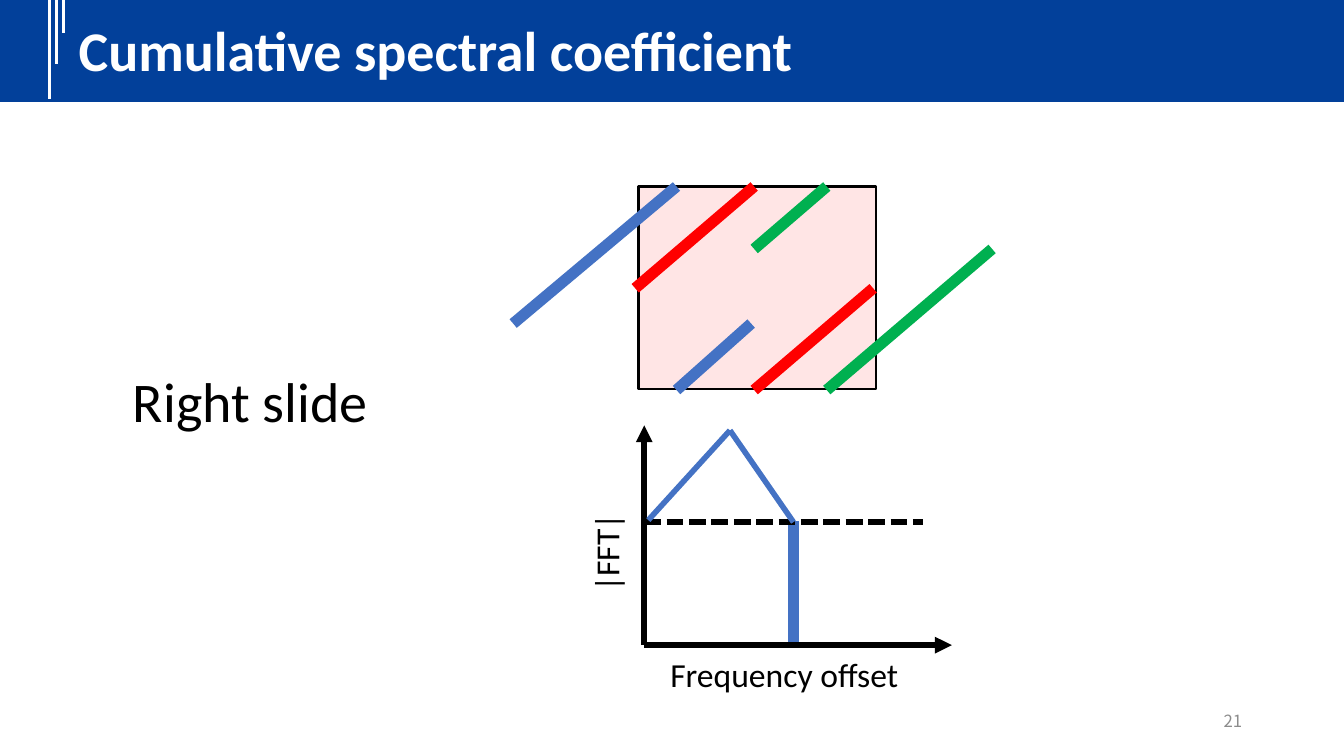
from lxml import etree
from pptx import Presentation
from pptx.dml.color import RGBColor
from pptx.enum.dml import MSO_LINE
from pptx.enum.shapes import MSO_CONNECTOR, MSO_SHAPE
from pptx.enum.text import MSO_ANCHOR, PP_ALIGN
from pptx.oxml.ns import qn
from pptx.util import Pt

PX = 9144
STRAIGHT = MSO_CONNECTOR.STRAIGHT
RECT = MSO_SHAPE.RECTANGLE
SYS_DASH = MSO_LINE.SQUARE_DOT
TOP, MIDDLE = MSO_ANCHOR.TOP, MSO_ANCHOR.MIDDLE
LEFT, RIGHT = PP_ALIGN.LEFT, PP_ALIGN.RIGHT

COLORS = {
    "banner": "02409A",
    "white": "FFFFFF",
    "black": "000000",
    "gray": "8C8C8C",
    "blue": "4472C4",
    "red": "FF0000",
    "green": "00B050",
}


def px(*lengths):
    return [round(n * PX) for n in lengths]


def rgb(name):
    return RGBColor.from_string(COLORS[name])


def add_line(s, start, end, color, width, dash=None, arrow=False):
    line = s.shapes.add_connector(STRAIGHT, *px(*start, *end))
    line.line.color.rgb = rgb(color)
    line.line.width = Pt(width)
    if dash:
        line.line.dash_style = dash
    if arrow:
        etree.SubElement(line.line._get_or_add_ln(), qn("a:tailEnd"), type="triangle")
    etree.SubElement(line.element.spPr, qn("a:effectLst"))
    return line


def add_rect(s, box, fill):
    sp = s.shapes.add_shape(RECT, *px(*box))
    sp.shadow.inherit = False
    sp.fill.solid()
    sp.fill.fore_color.rgb = rgb(fill)
    return sp


def write(sp, text, size, color="black", bold=False, font="Calibri", align=LEFT, anchor=TOP):
    tf = sp.text_frame
    tf.word_wrap = True
    tf.vertical_anchor = anchor
    p = tf.paragraphs[0]
    p.alignment = align
    r = p.add_run()
    r.text = text
    r.font.color.rgb = rgb(color)
    for name, value in {"name": font, "size": Pt(size), "bold": bold}.items():
        setattr(r.font, name, value)


def add_text(s, box, text, size, rotation=0, **style):
    sp = s.shapes.add_textbox(*px(*box))
    sp.rotation = rotation
    write(sp, text, size, **style)


def add_banner(s, box, text):
    x, y, w, h = box
    title = s.shapes.title
    band = add_rect(s, box, "banner")
    band.line.fill.background()
    title.element.addprevious(band.element)
    for i, length in enumerate((98, 64, 33)):
        stripe_x = x + 49 + 7 * i
        add_line(s, (stripe_x, y), (stripe_x, y + length), "white", 2.25)
    title.left, title.top, title.width, title.height = px(x + 68, y + 10, w - 117, h - 24)
    write(title, text, 40, color="white", bold=True)


def add_chirp_window(s, box):
    x, y, w, h = box
    window = add_rect(s, box, "red")
    color = window.fill._xPr.find(qn("a:solidFill"))[0]
    etree.SubElement(color, qn("a:alpha"), val="10000")
    window.line.color.rgb = rgb("black")
    window.line.width = Pt(2)
    chirps = [
        ("red", (-3, 101), (115, 0)),
        ("red", (115, h + 1), (w - 3, 101)),
        ("blue", (-124, 136), (38, 0)),
        ("blue", (38, h + 1), (112, 136)),
        ("green", (115, 62), (187, 0)),
        ("green", (187, h + 1), (351, 62)),
    ]
    for name, (x1, y1), (x2, y2) in chirps:
        add_line(s, (x + x1, y + y1), (x + x2, y + y2), name, 8)


def add_spectrum(s, box):
    x, y, w, h = box
    base, level = y + h, y + 96
    peak_x = x + 148
    apex = (x + 85, y + 5)
    add_line(s, (peak_x, base), (peak_x, level - 1), "blue", 8)
    add_line(s, (x, base), (x + w, base), "black", 4, arrow=True)
    add_line(s, (x, base), (x, y), "black", 4, arrow=True)
    add_line(s, (x, level), (x + 276, level), "black", 4, dash=SYS_DASH)
    add_line(s, (peak_x, level), apex, "blue", 4)
    add_line(s, (x + 4, level - 2), apex, "blue", 4)
    add_text(s, (x - 100, y + 88, 124, 50), "|FFT|", 24, rotation=270)
    add_text(s, (x + 16, base + 4, 273, 50), "Frequency offset", 24)


def main():
    prs = Presentation()
    prs.slide_width, prs.slide_height = px(1333, 750)
    s = prs.slides.add_slide(prs.slide_layouts[5])
    add_banner(s, (0, 0, 1333, 101), "Cumulative spectral coefficient")
    add_chirp_window(s, (633, 185, 236, 201))
    add_spectrum(s, (639, 422, 305, 218))
    add_text(s, (122, 359, 297, 77), "Right slide", 40)
    add_text(s, (942, 695, 300, 40), "21", 12, color="gray",
             font="Noto Sans CJK SC", align=RIGHT, anchor=MIDDLE)
    prs.save("out.pptx")


if __name__ == "__main__":
    main()
